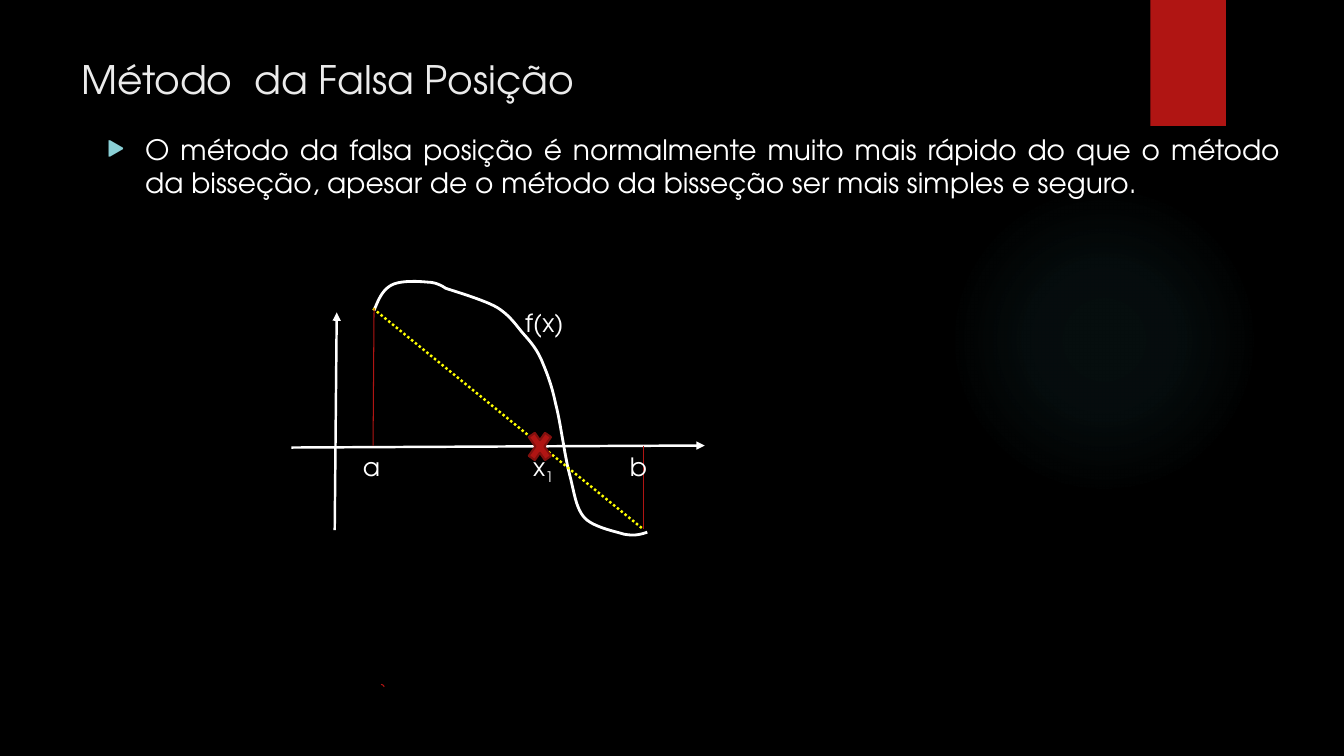
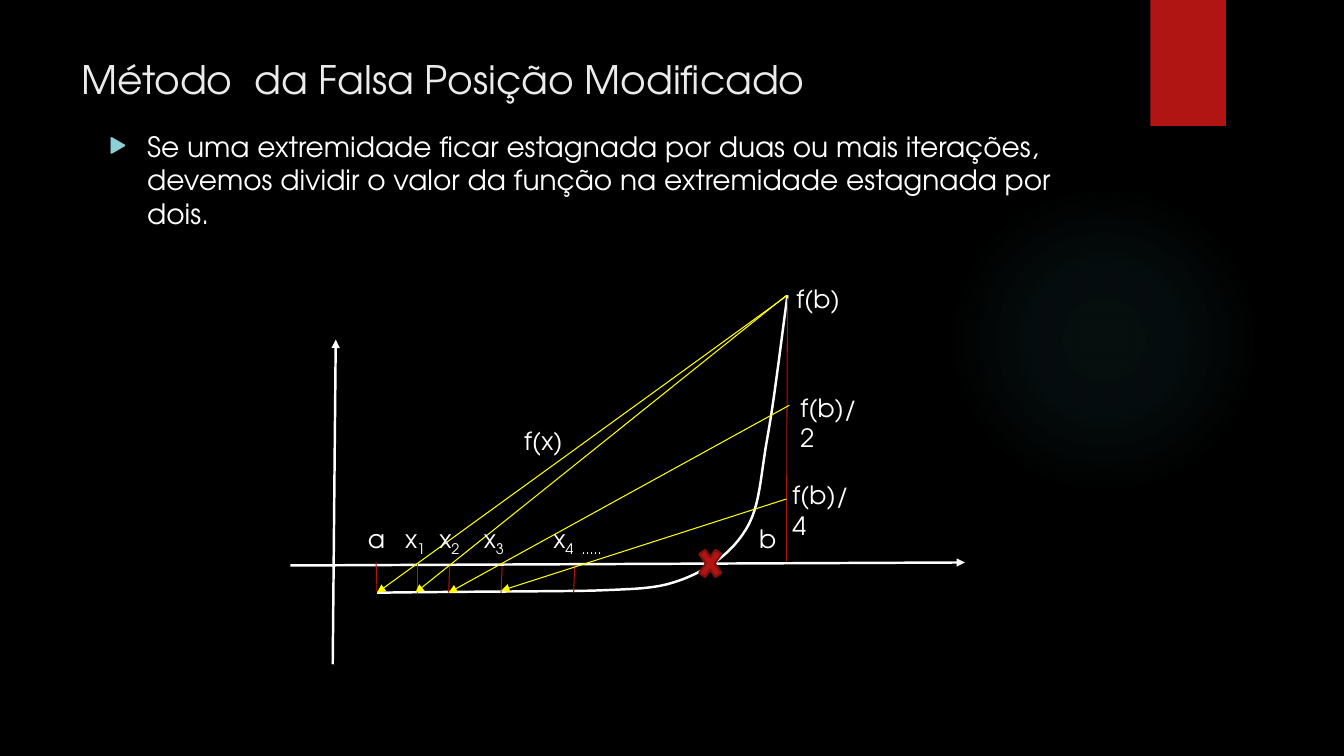
import lxml.etree
import pptx
import pptx.dml.color
import pptx.enum.dml
import pptx.enum.shapes
import pptx.enum.text
import pptx.oxml
import pptx.oxml.ns
import pptx.util

PX = 9144
FONT = "TeX Gyre Adventor"
COLORS = {
    "background": "000000",
    "title": "EBEBEB",
    "text": "FFFFFF",
    "red": "B01513",
    "dark red": "82100E",
    "yellow": "FFFF00",
    "teal": "50B9C1",
    "bullet": "8AD0D6",
}
RGB = {name: pptx.dml.color.RGBColor.from_string(value) for name, value in COLORS.items()}
SHAPE = pptx.enum.shapes.MSO_SHAPE
ALIGN = pptx.enum.text.PP_ALIGN
qn = pptx.oxml.ns.qn
NAMESPACE = pptx.oxml.ns.nsdecls("a")

LINE_STYLES = {
    "axis": {"color": "text", "width": 1.75, "arrow": True},
    "guide": {"color": "red", "width": 0.75},
    "chord": {"color": "yellow", "width": 1.75, "dotted": True},
    "ray": {"color": "yellow", "width": 0.75, "arrow": True},
}

TOPICS = [
    {
        "title": "Método  da Falsa Posição",
        "body": "O método da falsa posição é normalmente muito mais rápido do que o método da bisseção, "
                "apesar de o método da bisseção ser mais simples e seguro.",
        "body_box": (96, 126, 1184, 228),
        "align": ALIGN.JUSTIFY,
        "curve": [
            (371, 308), (375, 298), (379, 288), (388, 283), (397, 278), (415, 279), (425, 280),
            (434, 280), (442, 286), (442, 286), (454, 290), (481, 298), (493, 305),
            (506, 313), (512, 323), (519, 331), (527, 340), (532, 346), (537, 357),
            (542, 369), (547, 381), (551, 400), (556, 419), (560, 452), (565, 471),
            (570, 490), (571, 504), (580, 514), (589, 523), (609, 527), (619, 530),
            (630, 532), (636, 530), (642, 528),
        ],
        "curve_width": 2,
        "lines": [
            ("chord", 370, 306, 638, 525),
            ("axis", 332, 526, 334, 310),
            ("axis", 289, 444, 699, 442),
            ("guide", 371, 306, 370, 442),
            ("guide", 638, 442, 638, 525),
        ],
        "root": (520, 421),
        "labels": [
            (350, 443, "a", ""), (519, 443, "x", "1"), (615, 443, "b", ""), (511, 300, "f(x)", ""),
        ],
    },
    {
        "title": "Método  da Falsa Posição Modificado",
        "body": "Se uma extremidade ficar estagnada por duas ou mais iterações, devemos dividir "
                "o valor da função na extremidade estagnada por dois.",
        "body_box": (98, 123, 978, 119),
        "align": ALIGN.LEFT,
        "curve": [
            (374, 588), (445, 587), (516, 587), (587, 586), (638, 584), (653, 584), (679, 574),
            (704, 564), (726, 548), (740, 525), (754, 502), (754, 474), (761, 435),
            (768, 396), (774, 345), (781, 293),
        ],
        "curve_width": 1.75,
        "lines": [
            ("axis", 330, 659, 333, 337),
            ("axis", 288, 561, 957, 558),
            ("guide", 373, 558, 374, 588),
            ("guide", 781, 296, 780, 557),
            ("guide", 414, 559, 414, 588),
            ("guide", 446, 561, 445, 588),
            ("guide", 498, 562, 497, 589),
            ("guide", 570, 561, 569, 588),
            ("ray", 781, 293, 374, 588),
            ("ray", 780, 293, 412, 588),
            ("ray", 783, 402, 445, 588),
            ("ray", 780, 495, 497, 586),
        ],
        "root": (689, 537),
        "labels": [
            (355, 514, "a", ""), (392, 514, "x", "1"), (426, 514, "x", "2"), (470, 514, "x", "3"),
            (539, 514, "x", "4"), (567, 514, "", "....."), (743, 514, "b", ""),
            (510, 417, "f(x)", ""), (780, 276, "f(b)", ""),
            (784, 384, "f(b)/2", ""), (776, 471, "f(b)/4", ""),
        ],
    },
]


def write_text(shape, text, size=18, color="text", align=ALIGN.LEFT, subscript=""):
    frame = shape.text_frame
    frame.word_wrap = True
    frame.auto_size = pptx.enum.text.MSO_AUTO_SIZE.NONE
    frame.vertical_anchor = pptx.enum.text.MSO_ANCHOR.TOP
    paragraph = frame.paragraphs[0]
    paragraph.alignment = align
    for content, baseline in ((text, None), (subscript, "-25000")):
        if content:
            run = paragraph.add_run()
            run.text = content
            run.font.name = FONT
            run.font.size = pptx.util.Pt(size)
            run.font.color.rgb = RGB[color]
            if baseline:
                run.font._element.set("baseline", baseline)
    return paragraph


def add_line(slide, start, end, color, width, arrow=False, dotted=False):
    connector = slide.shapes.add_connector(
        pptx.enum.shapes.MSO_CONNECTOR.STRAIGHT, *(value * PX for value in start + end))
    connector.line.color.rgb = RGB[color]
    connector.line.width = pptx.util.Pt(width)
    if dotted:
        connector.line.dash_style = pptx.enum.dml.MSO_LINE.ROUND_DOT
    properties = connector.element.spPr
    if arrow:
        outline = properties.find(qn("a:ln"))
        lxml.etree.SubElement(outline, qn("a:tailEnd"), type="triangle")
    lxml.etree.SubElement(properties, qn("a:effectLst"))


presentation = pptx.Presentation()
presentation.slide_width = 1333 * PX
presentation.slide_height = 750 * PX
master = presentation.slide_master
master.background.fill.solid()
master.background.fill.fore_color.rgb = RGB["background"]
layout = presentation.slide_layouts[1]
layout_title = layout.placeholders[0]
layout_title.left, layout_title.top, layout_title.width, layout_title.height = (
    value * PX for value in (71, 50, 1029, 153))
slides = [presentation.slides.add_slide(layout) for topic in TOPICS]

glow = slides[0].shapes.add_shape(SHAPE.OVAL, *(value * PX for value in (941, 183, 308, 308)))
glow.line.fill.background()
glow.shadow.inherit = False
stops = "".join(
    f'<a:gs pos="{position}000"><a:srgbClr val="{COLORS["teal"]}"><a:alpha val="{alpha}000"/></a:srgbClr></a:gs>'
    for position, alpha in ((0, 7), (36, 6), (69, 0)))
glow.element.spPr.find(qn("a:prstGeom")).addnext(pptx.oxml.parse_xml(
    f'<a:gradFill {NAMESPACE}><a:gsLst>{stops}</a:gsLst><a:path path="circle">'
    '<a:fillToRect l="50000" t="50000" r="50000" b="50000"/></a:path></a:gradFill>'))

ribbon = slides[0].shapes.add_shape(SHAPE.RECTANGLE, *(value * PX for value in (1141, 0, 75, 125)))
ribbon.fill.solid()
ribbon.fill.fore_color.rgb = RGB["red"]
ribbon.line.fill.background()
ribbon.shadow.inherit = False
ribbon.element.spPr.find(qn("a:effectLst")).append(pptx.oxml.parse_xml(
    f'<a:outerShdw {NAMESPACE} blurRad="38100" dist="25400" dir="5400000">'
    f'<a:srgbClr val="{COLORS["background"]}"><a:alpha val="45000"/></a:srgbClr></a:outerShdw>'))

for index, decoration in enumerate((glow, ribbon)):
    decoration.element.nvSpPr.cNvPr.set("id", str(20 + index))
    master.shapes.element.insert(2 + index, decoration.element)

for slide, topic in zip(slides, TOPICS):
    write_text(slide.shapes.title, topic["title"], size=28, color="title")
    body = slide.placeholders[1]
    body.left, body.top, body.width, body.height = (value * PX for value in topic["body_box"])
    paragraph = write_text(body, topic["body"], size=20, align=topic["align"])
    paragraph.space_before = pptx.util.Pt(10)
    paragraph_format = next(body.element.iter(qn("a:pPr")))
    paragraph_format.set("marL", str(38 * PX))
    paragraph_format.set("indent", str(-38 * PX))
    bullet_color = lxml.etree.SubElement(paragraph_format, qn("a:buClr"))
    lxml.etree.SubElement(bullet_color, qn("a:srgbClr"), val=COLORS["bullet"])
    lxml.etree.SubElement(paragraph_format, qn("a:buSzPct"), val="80000")
    lxml.etree.SubElement(paragraph_format, qn("a:buFont"), typeface=FONT)
    lxml.etree.SubElement(paragraph_format, qn("a:buChar"), char="▶")

    points = topic["curve"]
    vertices = []
    for index in range(0, len(points) - 1, 3):
        for step in range(1, 13):
            t = step / 12
            weights = ((1 - t) ** 3, 3 * t * (1 - t) ** 2, 3 * t ** 2 * (1 - t), t ** 3)
            vertices.append(tuple(
                PX * sum(weight * point[axis] for weight, point in zip(weights, points[index:index + 4]))
                for axis in (0, 1)))
    builder = slide.shapes.build_freeform(points[0][0] * PX, points[0][1] * PX)
    builder.add_line_segments(vertices, close=False)
    curve = builder.convert_to_shape()
    curve.fill.background()
    curve.line.color.rgb = RGB["text"]
    curve.line.width = pptx.util.Pt(topic["curve_width"])
    curve.shadow.inherit = False

    for style, left, top, right, bottom in topic["lines"]:
        add_line(slide, (left, top), (right, bottom), **LINE_STYLES[style])

    left, top = topic["root"]
    root = slide.shapes.add_shape(SHAPE.MATH_MULTIPLY, left * PX, top * PX, 31 * PX, 44 * PX)
    root.fill.solid()
    root.fill.fore_color.rgb = RGB["red"]
    root.line.color.rgb = RGB["dark red"]
    root.line.width = pptx.util.Pt(1.5)
    root.shadow.inherit = False

    for left, top, text, subscript in topic["labels"]:
        width = 80 if "/" in text else 66
        label = slide.shapes.add_textbox(left * PX, top * PX, width * PX, 40 * PX)
        write_text(label, text, subscript=subscript)

arc = slides[0].shapes.add_shape(SHAPE.ARC, 375 * PX, 679 * PX, 6 * PX, 5 * PX)
arc.fill.background()
arc.line.color.rgb = RGB["red"]
arc.line.width = pptx.util.Pt(0.75)
arc.shadow.inherit = False

presentation.save("out.pptx")
